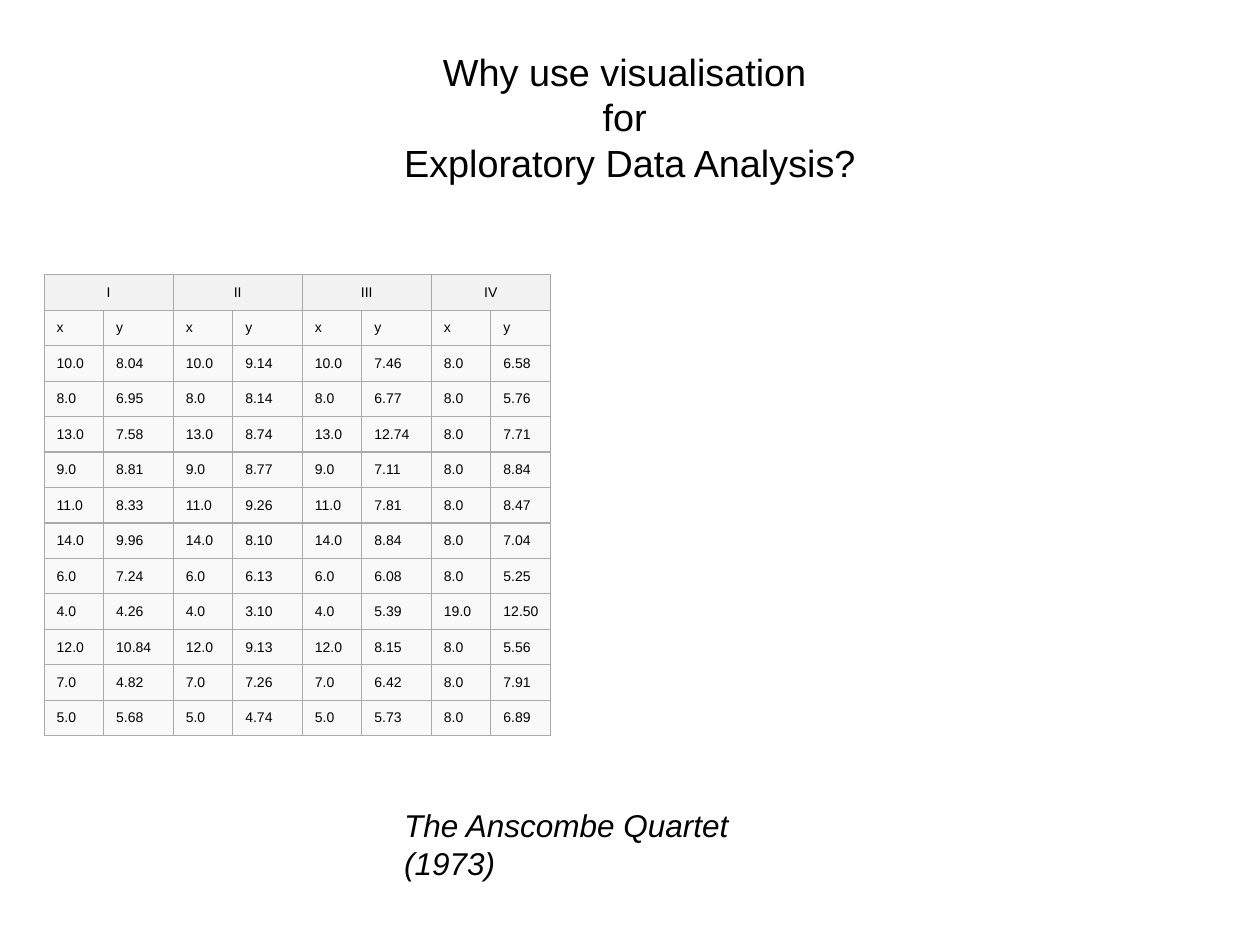
from pptx import Presentation
from pptx.dml.color import RGBColor as RGB
from pptx.enum.text import MSO_ANCHOR as Anchor, PP_ALIGN as Align
from pptx.oxml import parse_xml
from pptx.oxml.ns import nsdecls
from pptx.util import Inches, Pt

# Content
TITLE = "Why use visualisation \vfor \vExploratory Data Analysis?"
NOTE = "The Anscombe Quartet (1973)"
SETS = ["I", "II", "III", "IV"]
ROWS = [
    ["x", "y"] * len(SETS),
    ["10.0", "8.04", "10.0", "9.14", "10.0", "7.46", "8.0", "6.58"],
    ["8.0", "6.95", "8.0", "8.14", "8.0", "6.77", "8.0", "5.76"],
    ["13.0", "7.58", "13.0", "8.74", "13.0", "12.74", "8.0", "7.71"],
    ["9.0", "8.81", "9.0", "8.77", "9.0", "7.11", "8.0", "8.84"],
    ["11.0", "8.33", "11.0", "9.26", "11.0", "7.81", "8.0", "8.47"],
    ["14.0", "9.96", "14.0", "8.10", "14.0", "8.84", "8.0", "7.04"],
    ["6.0", "7.24", "6.0", "6.13", "6.0", "6.08", "8.0", "5.25"],
    ["4.0", "4.26", "4.0", "3.10", "4.0", "5.39", "19.0", "12.50"],
    ["12.0", "10.84", "12.0", "9.13", "12.0", "8.15", "8.0", "5.56"],
    ["7.0", "4.82", "7.0", "7.26", "7.0", "6.42", "8.0", "7.91"],
    ["5.0", "5.68", "5.0", "4.74", "5.0", "5.73", "8.0", "6.89"],
]
SHARES = [0.47, 0.55] * 3 + [0.47, 0.47]
WIDE, HIGH = 4.02, 3.66

# Colours and type sizes
THEME = {
    "ink": RGB.from_string("000000"),
    "head": RGB.from_string("F2F2F2"),
    "body": RGB.from_string("F9F9F9"),
    "line": "AAAAAA",
    "rule": Pt(0.75),
    "title": {"size": Pt(21.6)},
    "cell": {"size": Pt(8)},
    "note": {"size": Pt(18), "italic": True},
}


def put(frame, text, kind, align=Align.LEFT):
    frame.text = text
    para = frame.paragraphs[0]
    para.alignment = align
    for run in para.runs:
        for key, val in {"name": "Arial", **THEME[kind]}.items():
            setattr(run.font, key, val)
        run.font.color.rgb = THEME["ink"]


def add_box(slide, spot, text, kind, align=Align.LEFT, anchor=Anchor.TOP):
    frame = slide.shapes.add_textbox(*map(Inches, spot)).text_frame
    frame.word_wrap = True
    frame.vertical_anchor = anchor
    put(frame, text, kind, align)


def edge(cell):
    props = cell._tc.get_or_add_tcPr()
    for n, side in enumerate(("lnL", "lnR", "lnT", "lnB")):
        props.insert(n, parse_xml(
            f'<a:{side} {nsdecls("a")} w="{THEME["rule"]}"><a:solidFill>'
            f'<a:srgbClr val="{THEME["line"]}"/></a:solidFill></a:{side}>'))


def add_grid(slide):
    rows, cols = len(ROWS) + 1, len(SHARES)
    spot = (0.35, 2.18, WIDE, HIGH)
    grid = slide.shapes.add_table(rows, cols, *map(Inches, spot)).table
    for col, share in zip(grid.columns, SHARES):
        col.width = Inches(WIDE * share / sum(SHARES))
    for row in grid.rows:
        row.height = Inches(HIGH / rows)

    # Each set name spans its x and y columns
    for n, name in enumerate(SETS):
        cell = grid.cell(0, 2 * n)
        cell.merge(grid.cell(0, 2 * n + 1))
        put(cell.text_frame, name, "cell", Align.CENTER)

    # Values, with a slim right margin so the longest stay on one line
    for r, vals in enumerate(ROWS, 1):
        for c, val in enumerate(vals):
            cell = grid.cell(r, c)
            cell.margin_right = Inches(0.07)
            put(cell.text_frame, val, "cell")

    # Fills and borders
    for r in range(rows):
        for c in range(cols):
            cell = grid.cell(r, c)
            cell.vertical_anchor = Anchor.MIDDLE
            cell.fill.solid()
            cell.fill.fore_color.rgb = THEME["body" if r else "head"]
            edge(cell)


def main():
    deck = Presentation()
    deck.slide_width, deck.slide_height = Inches(10), Inches(7.5)
    slide = deck.slides.add_slide(deck.slide_layouts[6])
    add_box(slide, (0.5, 0.3, 9, 1.25), TITLE, "title",
            Align.CENTER, Anchor.MIDDLE)
    add_grid(slide)
    add_box(slide, (3.11, 6.35, 3.3, 0.4), NOTE, "note")
    deck.save("out.pptx")


if __name__ == "__main__":
    main()
